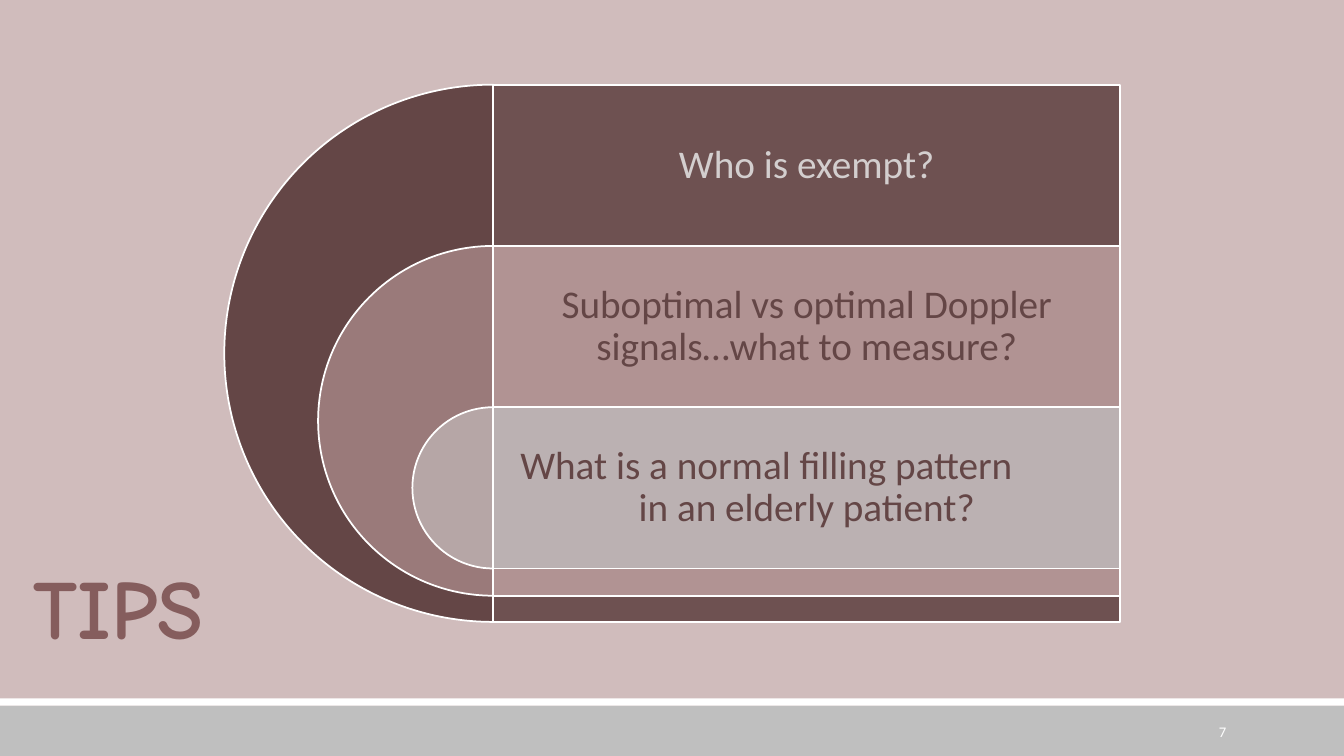
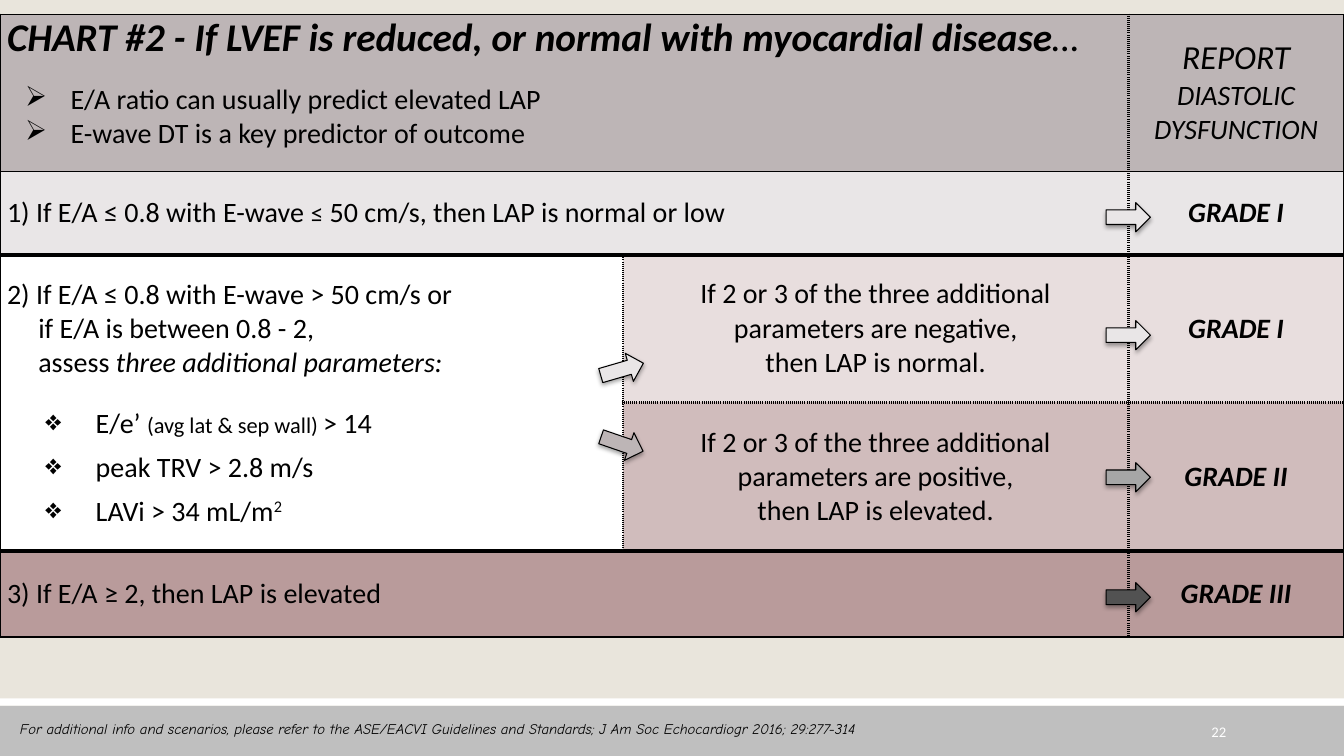
from dataclasses import dataclass
from typing import Optional

from lxml.etree import SubElement
from pptx import Presentation
from pptx.dml.color import RGBColor
from pptx.enum.shapes import MSO_SHAPE
from pptx.enum.text import MSO_ANCHOR, PP_ALIGN
from pptx.oxml.ns import qn
from pptx.util import Emu, Inches, Pt

COLORS = {
    "rose": "D0BCBC", "cream": "E9E5DC", "band": "BFBFBF", "white": "FFFFFF",
    "black": "000000", "plum": "644646", "mauve": "9A7A7A", "dusty": "B99B9B",
    "taupe": "B6A6A6", "stone": "BDB5B6", "mist": "E9E6E7", "blush": "E8DEDE",
    "title": "855D5D", "pale": "D3CECE", "gray": "A6A6A6", "charcoal": "525252",
}
SANS, COMIC = "Calibri", "Comic Neue"
WIDTH = 13.33
LEFT, CENTER, RIGHT = PP_ALIGN.LEFT, PP_ALIGN.CENTER, PP_ALIGN.RIGHT


@dataclass(frozen=True)
class Run:
    text: str
    size: float = 20
    bold: bool = False
    italic: bool = False
    superscript: bool = False
    color: str = "black"
    font: str = SANS


@dataclass(frozen=True)
class Para:
    runs: tuple[Run, ...]
    align: PP_ALIGN = LEFT
    before: float = 0
    margin: float = 0
    hanging: float = 0
    bullet: str = ""
    spacing: Optional[float] = None


@dataclass(frozen=True)
class Ring:
    diameter: float
    pie: str
    bar: str
    paras: tuple[Para, ...]


@dataclass(frozen=True)
class Block:
    row: int
    col: int
    fill: str
    paras: tuple[Para, ...]
    rows: int = 1
    cols: int = 1
    anchor: MSO_ANCHOR = MSO_ANCHOR.MIDDLE


@dataclass(frozen=True)
class Border:
    width: float
    dash: str = "solid"


@dataclass(frozen=True)
class Arrow:
    x: float
    y: float
    fill: str
    rotation: float = 0


def rgb(name: str) -> RGBColor:
    """Look up a palette colour."""
    return RGBColor.from_string(COLORS[name])


def one(text: str, align: PP_ALIGN = LEFT, **style) -> Para:
    """Make a paragraph of a single run."""
    return Para((Run(text, **style),), align)


def write(tf, paras: tuple[Para, ...]) -> None:
    """Fill a text frame with formatted paragraphs."""
    for i, para in enumerate(paras):
        p = tf.add_paragraph() if i else tf.paragraphs[0]
        p.alignment = para.align
        if para.margin:
            pPr = p._p.get_or_add_pPr()
            pPr.set("marL", str(Inches(para.margin)))
            pPr.set("indent", str(-Inches(para.hanging)))
            if para.bullet:
                SubElement(pPr, qn("a:buChar")).set("char", para.bullet)
        if para.before:
            p.space_before = Pt(para.before)
        if para.spacing:
            p.line_spacing = para.spacing
        for run in para.runs:
            r = p.add_run()
            r.text = run.text
            r.font.name, r.font.size = run.font, Pt(run.size)
            r.font.bold, r.font.italic = run.bold, run.italic
            r.font.color.rgb = rgb(run.color)
            if run.superscript:
                r._r.get_or_add_rPr().set("baseline", "30000")


def add_text(s, x: float, y: float, w: float, h: float, paras: tuple[Para, ...],
             anchor: MSO_ANCHOR = MSO_ANCHOR.TOP, inset: Optional[float] = None) -> None:
    """Place a wrapping text box."""
    tf = s.shapes.add_textbox(Inches(x), Inches(y), Inches(w), Inches(h)).text_frame
    tf.word_wrap, tf.vertical_anchor = True, anchor
    if inset is not None:
        tf.margin_left = tf.margin_right = tf.margin_top = tf.margin_bottom = Inches(inset)
    write(tf, paras)


def add_shape(s, kind: MSO_SHAPE, x: float, y: float, w: float, h: float, fill: str,
              line: Optional[str] = None, weight: float = 1.25):
    """Draw a flat preset shape."""
    sp = s.shapes.add_shape(kind, Inches(x), Inches(y), Inches(w), Inches(h))
    sp.shadow.inherit = False
    sp.fill.solid()
    sp.fill.fore_color.rgb = rgb(fill)
    if line:
        sp.line.color.rgb, sp.line.width = rgb(line), Pt(weight)
    else:
        sp.line.fill.background()
    return sp


def add_slide(prs, background: str, number: str):
    """Start a slide with the shared footer bands and number."""
    s = prs.slides.add_slide(prs.slide_layouts[6])
    s.background.fill.solid()
    s.background.fill.fore_color.rgb = rgb(background)
    add_shape(s, MSO_SHAPE.RECTANGLE, 0, 7, WIDTH, 0.5, "band")
    add_shape(s, MSO_SHAPE.RECTANGLE, 0, 6.93, WIDTH, 0.07, "white")
    add_text(s, 10.83, 7.06, 1.43, 0.4, (one(number, RIGHT, size=10.5, color="white"),),
             MSO_ANCHOR.MIDDLE)
    return s


def tip(text: str, color: str = "plum") -> Para:
    """Make a centred tip line."""
    return Para((Run(text, 28, color=color),), CENTER, spacing=0.9)


RINGS = (
    Ring(5.33, "plum", "plum", (tip("Who is exempt?", "pale"),)),
    Ring(3.47, "mauve", "dusty",
         (tip("Suboptimal vs optimal Doppler signals…what to measure?"),)),
    Ring(1.6, "taupe", "stone",
         (Para((Run("What is a normal filling pattern", 28, color="plum"),),
               margin=0.15, spacing=0.9),
          tip("in an elderly patient?"))),
)


def add_ring(s, ring: Ring, top: float) -> None:
    """Draw a half disc, its translucent bar and the tip on it."""
    axis, width, step = 4.89, 6.22, 1.6
    pie = add_shape(s, MSO_SHAPE.PIE, axis - ring.diameter / 2, top,
                    ring.diameter, ring.diameter, ring.pie, "white")
    pie.adjustments[0], pie.adjustments[1] = 54, 162
    bar = add_shape(s, MSO_SHAPE.RECTANGLE, axis, top, width, ring.diameter, ring.bar, "white")
    color = bar._element.spPr.find(qn("a:solidFill")).find(qn("a:srgbClr"))
    SubElement(color, qn("a:alpha")).set("val", "90000")
    add_text(s, axis, top, width, step, ring.paras, MSO_ANCHOR.MIDDLE, 0.12)


def build_tips(prs) -> None:
    """Build the slide of nested tips."""
    s = add_slide(prs, "rose", "7")
    for i, ring in enumerate(RINGS):
        add_ring(s, ring, 0.84 + 1.6 * i)
    add_text(s, 0.23, 5.46, 2.83, 1.11,
             (one("TIPS", size=60, bold=True, color="title", font=COMIC),))


def grade(text: str) -> tuple[Para, ...]:
    """Make the text of a grade cell."""
    return (one(text, CENTER, bold=True, italic=True),)


def outcome(sign: str, result: str) -> tuple[Para, ...]:
    """Make the text of an outcome cell."""
    lines = ("If 2 or 3 of the three additional", f"parameters are {sign},",
             f"then LAP is {result}.")
    return tuple(one(line, CENTER) for line in lines)


def point(*runs: Run, before: float = 7) -> Para:
    """Make a diamond bullet."""
    return Para(runs, before=before, margin=0.88, hanging=0.5, bullet="❖")


def hint(text: str, before: float = 0) -> Para:
    """Make an arrowhead bullet."""
    return Para((Run(text),), before=before, margin=0.63, hanging=0.45, bullet="➢")


THIN, THICK, DOTS = Border(1), Border(3), Border(2.25, "sysDot")
ROW_EDGES = (THIN, THIN, THICK, DOTS, THICK, THIN)
COL_EDGES = (THIN, DOTS, DOTS, THIN)
COL_WIDTHS = (6.18, 5.01, 2.14)
ROW_HEIGHTS = (1.56, 0.83, 1.46, 1.48, 0.85)
BLOCKS = (
    Block(0, 0, "stone", (
        Para((Run("CHART #2 - If LVEF is reduced, or normal with myocardial disease",
                  28, True, True), Run("…", 28, italic=True))),
        hint("E/A ratio can usually predict elevated LAP", 14.5),
        hint("E-wave DT is a key predictor of outcome"),
    ), cols=2, anchor=MSO_ANCHOR.TOP),
    Block(0, 2, "stone", (one("REPORT", CENTER, size=24, italic=True),
                          one("DIASTOLIC DYSFUNCTION", CENTER, italic=True))),
    Block(1, 0, "mist", (Para((Run("1) If E/A ≤ 0.8 with E-wave "), Run("≤", 18),
                               Run(" 50 cm/s, then LAP is normal or low"))),), cols=2),
    Block(1, 2, "mist", grade("GRADE I")),
    Block(2, 0, "white", (
        one("2) If E/A ≤ 0.8 with E-wave > 50 cm/s or"),
        Para((Run("if E/A is between 0.8 - 2,"),), margin=0.31),
        Para((Run("assess"), Run(" three additional parameters:", italic=True)), margin=0.31),
        point(Run("E/e’ "), Run("(avg lat & sep wall) ", 16), Run("> 14"), before=18.5),
        point(Run("peak TRV > 2.8 m/s")),
        point(Run("LAVi > 34 mL/m"), Run("2", superscript=True)),
    ), rows=2),
    Block(2, 1, "blush", outcome("negative", "normal")),
    Block(2, 2, "blush", grade("GRADE I")),
    Block(3, 1, "rose", outcome("positive", "elevated")),
    Block(3, 2, "rose", grade("GRADE II")),
    Block(4, 0, "dusty", (one("3) If E/A ≥ 2, then LAP is elevated"),), cols=2),
    Block(4, 2, "dusty", grade("GRADE III")),
)
ARROWS = (
    Arrow(10.97, 4.59, "gray"), Arrow(10.97, 3.18, "mist"), Arrow(10.97, 5.78, "charcoal"),
    Arrow(5.95, 3.52, "mist", 343.8), Arrow(5.95, 4.26, "stone", 19),
    Arrow(10.97, 2.01, "mist"),
)


def set_border(cell, side: str, border: Optional[Border]) -> None:
    """Set one edge of a cell, or hide it."""
    ln = SubElement(cell._tc.get_or_add_tcPr(), qn(f"a:ln{side}"))
    if border is None:
        SubElement(ln, qn("a:noFill"))
        return
    ln.set("w", str(Pt(border.width)))
    fill = SubElement(ln, qn("a:solidFill"))
    SubElement(fill, qn("a:srgbClr")).set("val", COLORS["black"])
    SubElement(ln, qn("a:prstDash")).set("val", border.dash)


def fill_block(table, block: Block) -> None:
    """Merge, outline, fill and write one block of the table."""
    bottom, right = block.row + block.rows, block.col + block.cols
    origin = table.cell(block.row, block.col)
    if block.rows * block.cols > 1:
        origin.merge(table.cell(bottom - 1, right - 1))
    for i in range(block.row, bottom):
        for j in range(block.col, right):
            cell = table.cell(i, j)
            set_border(cell, "L", COL_EDGES[j] if j == block.col else None)
            set_border(cell, "R", COL_EDGES[right] if j == right - 1 else None)
            set_border(cell, "T", ROW_EDGES[i] if i == block.row else None)
            set_border(cell, "B", ROW_EDGES[bottom] if i == bottom - 1 else None)
            cell.fill.solid()
            cell.fill.fore_color.rgb = rgb(block.fill)
    origin.margin_left = origin.margin_right = Inches(0.07)
    origin.margin_top = origin.margin_bottom = Emu(0)
    origin.vertical_anchor = block.anchor
    write(origin.text_frame, block.paras)


def add_arrow(s, arrow: Arrow) -> None:
    """Draw a block arrow with a soft shadow."""
    sp = add_shape(s, MSO_SHAPE.RIGHT_ARROW, arrow.x, arrow.y, 0.44, 0.29,
                   arrow.fill, "black", 0.75)
    sp.rotation = arrow.rotation
    shadow = SubElement(sp._element.spPr.find(qn("a:effectLst")), qn("a:outerShdw"))
    for key, value in (("blurRad", Pt(3.1)), ("dist", Pt(1.8)), ("dir", 5400000)):
        shadow.set(key, str(value))
    color = SubElement(shadow, qn("a:srgbClr"))
    color.set("val", COLORS["black"])
    SubElement(color, qn("a:alpha")).set("val", "35000")


def build_chart(prs) -> None:
    """Build the decision table slide."""
    s = add_slide(prs, "cream", "22")
    table = s.shapes.add_table(len(ROW_HEIGHTS), len(COL_WIDTHS), Inches(0), Inches(0.14),
                               Inches(WIDTH), Inches(sum(ROW_HEIGHTS))).table
    table.first_row = table.horz_banding = False
    for column, width in zip(table.columns, COL_WIDTHS):
        column.width = Inches(width)
    for row, height in zip(table.rows, ROW_HEIGHTS):
        row.height = Inches(height)
    for block in BLOCKS:
        fill_block(table, block)
    for arrow in ARROWS:
        add_arrow(s, arrow)
    add_text(s, 0.1, 7.09, 11.17, 0.29, (one(
        "For additional info and scenarios, please refer to the ASE/EACVI Guidelines and "
        "Standards; J Am Soc Echocardiogr 2016; 29:277-314",
        size=10.5, italic=True, font=COMIC),))


def main() -> None:
    """Build and save the presentation."""
    prs = Presentation()
    prs.slide_width, prs.slide_height = Inches(WIDTH), Inches(7.5)
    build_tips(prs)
    build_chart(prs)
    prs.save("out.pptx")


if __name__ == "__main__":
    main()
